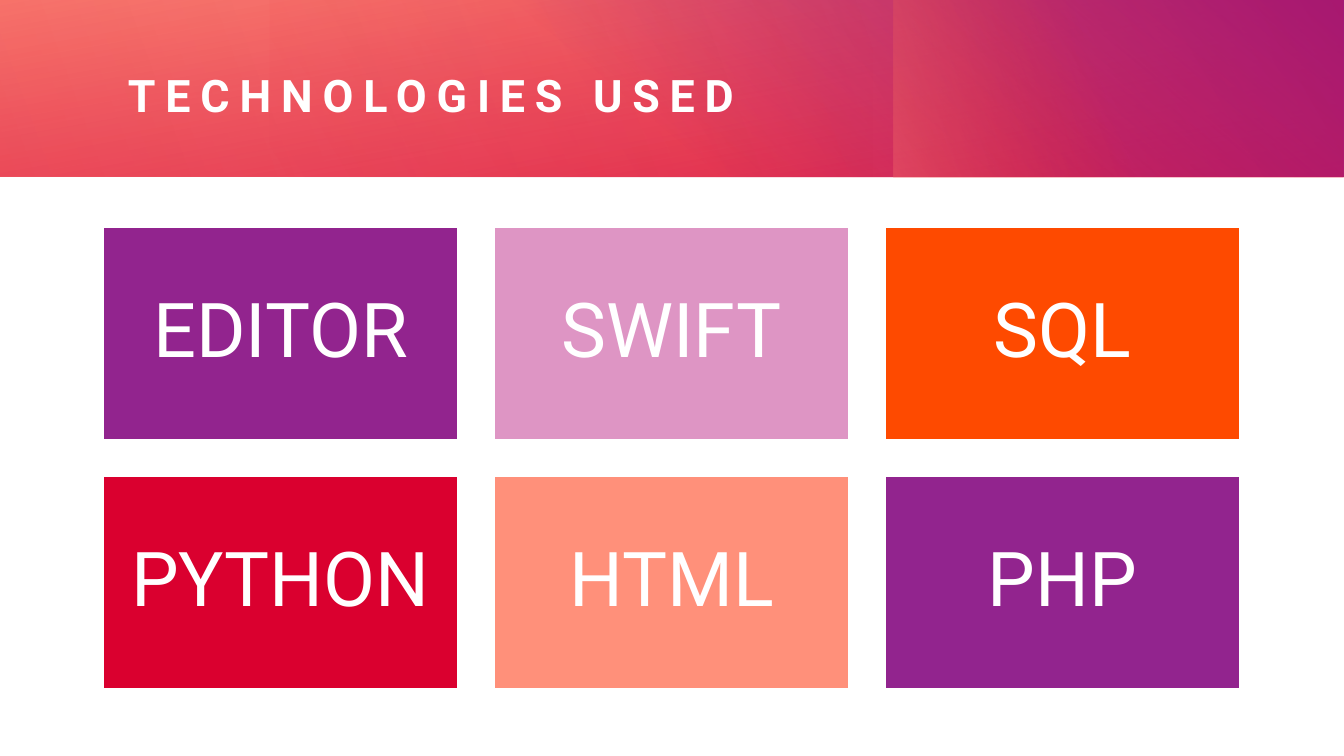
from dataclasses import dataclass

from lxml import etree
from pptx import Presentation
from pptx.dml.color import RGBColor
from pptx.enum.shapes import MSO_SHAPE
from pptx.enum.text import MSO_ANCHOR, PP_ALIGN
from pptx.oxml.ns import qn
from pptx.util import Emu, Pt

RECTANGLE = MSO_SHAPE.RECTANGLE
MIDDLE = MSO_ANCHOR.MIDDLE
LEFT, CENTER = PP_ALIGN.LEFT, PP_ALIGN.CENTER
PX = 914400 / 100.8


@dataclass(frozen=True)
class Theme:
    font: str = "Roboto"
    white: str = "FFFFFF"
    purple: str = "92248E"
    pink: str = "DE95C4"
    orange: str = "FE4A00"
    red: str = "DA002F"
    salmon: str = "FF907A"
    title_size: int = 32
    tile_size: int = 54


theme = Theme()


def px(*lengths):
    return [Emu(round(length * PX)) for length in lengths]


def write(frame, text, *, size, bold=False, align=LEFT, inset=0, line_spacing=1.0, tracking=0):
    frame.word_wrap = True
    frame.vertical_anchor = MIDDLE
    frame.margin_left, frame.margin_top, frame.margin_right, frame.margin_bottom = px(*[inset] * 4)
    para = frame.paragraphs[0]
    para.alignment = align
    para.line_spacing = line_spacing
    span = para.add_run()
    span.text = text
    span.font.name = theme.font
    span.font.size = Pt(size)
    span.font.bold = bold
    span.font.color.rgb = RGBColor.from_string(theme.white)
    if tracking:
        span.font._element.set("spc", str(tracking * 100))


deck = Presentation()
deck.slide_width, deck.slide_height = px(1344, 756)
page = deck.slides.add_slide(deck.slide_layouts[6])

# Header band: layered gradients, each stop as (position %, colour, opacity %)
layers = [
    ((0, 0, 1344, 177), 0, 260, [(0, theme.red, 83), (100, theme.salmon, 100)]),
    ((485, 0, 859, 177), 0, 310, [(22, theme.purple, 0), (99, theme.purple, 100)]),
    ((994, -100, 177, 377), 270, 250, [(45, theme.orange, 0), (99, theme.salmon, 33)]),
    ((270, 0, 1073, 177), 180, 330, [(0, theme.red, 30), (99, theme.red, 0)]),
    ((0, 0, 872, 177), 0, 340, [(0, theme.red, 21), (99, theme.red, 0)]),
]
for bounds, rotation, angle, stops in layers:
    band = page.shapes.add_shape(RECTANGLE, *px(*bounds))
    band.shadow.inherit = False
    band.rotation = rotation
    band.line.fill.background()
    band.fill.gradient()
    band.fill.gradient_angle = 360 - angle
    for stop, (position, color, opacity) in zip(band.fill.gradient_stops, stops):
        stop.position = position / 100
        stop.color.rgb = RGBColor.from_string(color)
    color_nodes = band._element.spPr.iter(qn("a:srgbClr"))
    for node, (position, color, opacity) in zip(color_nodes, stops):
        etree.SubElement(node, qn("a:alpha")).set("val", str(opacity * 1000))

# Title
title = page.shapes.add_textbox(*px(128, 41, 1144, 107))
write(title.text_frame, "TECHNOLOGIES USED", size=theme.title_size, bold=True, tracking=7)

# Technology tiles: three columns, two rows
technologies = [
    ("EDITOR", theme.purple), ("SWIFT", theme.pink), ("SQL", theme.orange),
    ("PYTHON", theme.red), ("HTML", theme.salmon), ("PHP", theme.purple),
]
columns = 3
tile_width, tile_height, gap = 355, 213, 36
for index, (name, color) in enumerate(technologies):
    row, column = divmod(index, columns)
    left = 103 + column * (tile_width + gap)
    top = 227 + row * (tile_height + gap)
    tile = page.shapes.add_shape(RECTANGLE, *px(left, top, tile_width, tile_height))
    tile.shadow.inherit = False
    tile.fill.solid()
    tile.fill.fore_color.rgb = RGBColor.from_string(color)
    tile.line.color.rgb = RGBColor.from_string(theme.white)
    tile.line.width = Pt(1)
    write(tile.text_frame, name, size=theme.tile_size, align=CENTER, inset=23, line_spacing=0.9)

deck.save("out.pptx")
